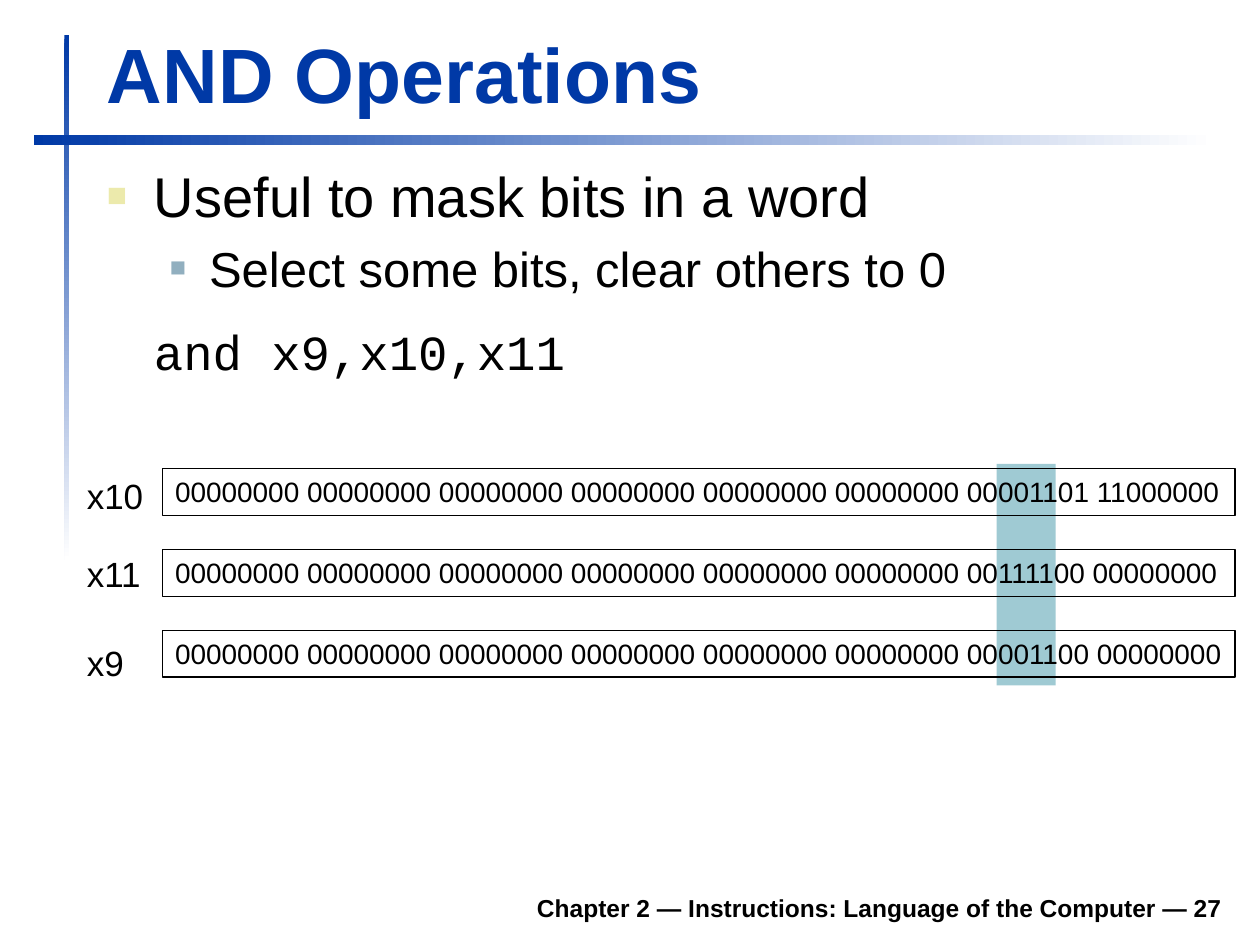
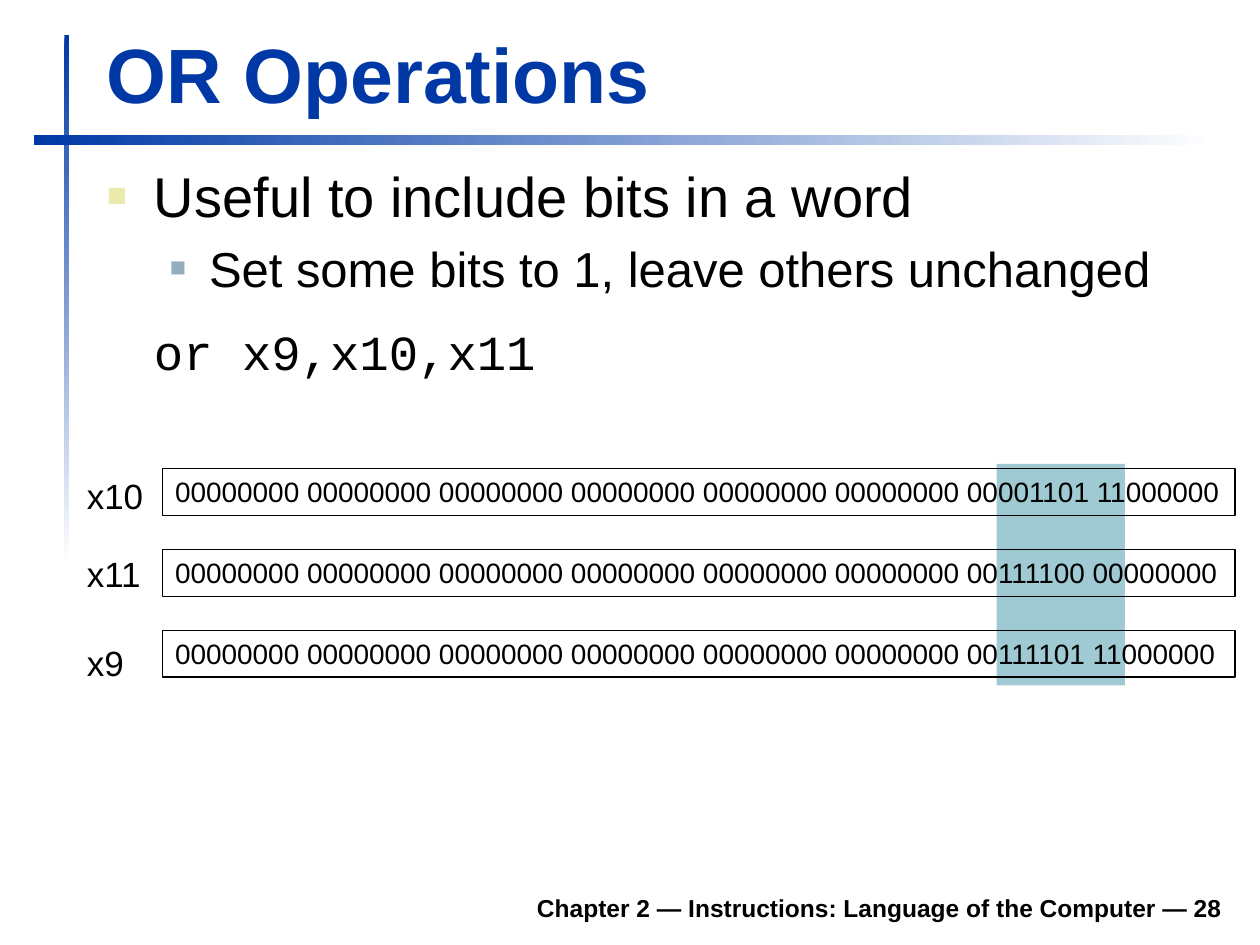
from dataclasses import dataclass

from lxml import etree
from pptx import Presentation
from pptx import util as u
from pptx.dml.color import RGBColor
from pptx.enum import shapes, text
from pptx.oxml import ns

ZERO_BYTES = ["00000000"] * 6
SLIDES = [
    {
        "number": 27,
        "title": "AND Operations",
        "point": "Useful to mask bits in a word",
        "detail": "Select some bits, clear others to 0",
        "code": "and x9,x10,x11",
        "low_bytes": ("00001101 11000000", "00111100 00000000", "00001100 00000000"),
        "mask_width": 1.19,
    },
    {
        "number": 28,
        "title": "OR Operations",
        "point": "Useful to include bits in a word",
        "detail": "Set some bits to 1, leave others unchanged",
        "code": "or x9,x10,x11",
        "low_bytes": ("00001101 11000000", "00111100 00000000", "00111101 11000000"),
        "mask_width": 2.59,
    },
]
FOOTER = "Chapter 2 — Instructions: Language of the Computer — {}"
REGISTERS = [("x10", 9.45), ("x11", 11.02), ("x9", 12.8)]
BANDS = [((1.3, 0.71, 0.1, 10.59), 270), ((0.69, 2.72, 23.8, 0.2), 0)]
TITLE_AREA = (1.9, 0.41, 22.94, 2.11)
BODY_AREA = (1.9, 3.12, 22.99, 5.77)
FOOTER_AREA = (4.7, 17.73, 20.19, 0.99)
MASK_LEFT, MASK_TOP, MASK_HEIGHT = 20.09, 9.35, 4.47
WORD_LEFT, WORD_TOP, WORD_WIDTH, WORD_HEIGHT, WORD_PITCH = 3.28, 9.45, 21.62, 0.94, 1.63
LABEL_LEFT, LABEL_WIDTH, LABEL_HEIGHT = 1.5, 1.65, 1.12


@dataclass(frozen=True)
class Theme:
    sans: str = "Arial"
    mono: str = "Courier New"
    blue: str = "0039A6"
    white: str = "FFFFFF"
    black: str = "000000"
    teal: str = "9FCAD3"
    point_bullet: str = "ECEAAC"
    detail_bullet: str = "91AFBF"
    title: int = 44
    point: int = 32
    detail: int = 28
    label: int = 20
    word: int = 16
    footer: int = 14


THEME = Theme()


def lengths(area):
    return [u.Cm(value) for value in area]


def move(placeholder, area):
    placeholder.left, placeholder.top, placeholder.width, placeholder.height = lengths(area)


def add_span(para, content, size, color=THEME.black, font=THEME.sans, bold=False):
    span = para.add_run()
    span.text = content
    span.font.size = u.Pt(size)
    span.font.name = font
    span.font.bold = bold
    span.font.color.rgb = RGBColor.from_string(color)


def add_rectangle(page, area):
    box = page.shapes.add_shape(shapes.MSO_SHAPE.RECTANGLE, *lengths(area))
    box.shadow.inherit = False
    box.line.fill.background()
    return box


def add_band(page, area, angle):
    fill = add_rectangle(page, area).fill
    fill.gradient()
    fill.gradient_angle = angle
    for stop, color in zip(fill.gradient_stops, (THEME.blue, THEME.white)):
        stop.color.rgb = RGBColor.from_string(color)


def add_text(page, area, content, size, wrap=True, bold=False,
             align=text.PP_ALIGN.LEFT, anchor=text.MSO_ANCHOR.TOP):
    frame = page.shapes.add_textbox(*lengths(area)).text_frame
    frame.word_wrap = wrap
    frame.vertical_anchor = anchor
    para = frame.paragraphs[0]
    para.alignment = align
    add_span(para, content, size, bold=bold)


def format_item(para, margin, indent, before, after=0, bullet=None, bullet_size=0):
    props = para._p.get_or_add_pPr()
    props.set("marL", str(u.Cm(margin)))
    props.set("indent", str(u.Cm(indent)))

    def add(parent, tag, **attributes):
        return etree.SubElement(parent, ns.qn(tag), attributes)

    for tag, percent in (("a:spcBef", before), ("a:spcAft", after)):
        add(add(props, tag), "a:spcPct", val=str(percent * 1000))
    if bullet:
        add(add(props, "a:buClr"), "a:srgbClr", val=bullet)
        add(props, "a:buSzPct", val=str(bullet_size * 1000))
        add(props, "a:buFont", typeface=THEME.sans)
        add(props, "a:buChar", char="■")
    else:
        add(props, "a:buNone")


def fill_title(page, content):
    title = page.shapes.title
    move(title, TITLE_AREA)
    frame = title.text_frame
    frame.auto_size = text.MSO_AUTO_SIZE.NONE
    frame.vertical_anchor = text.MSO_ANCHOR.BOTTOM
    para = frame.paragraphs[0]
    para.alignment = text.PP_ALIGN.LEFT
    add_span(para, content, THEME.title, THEME.blue, bold=True)


def fill_body(page, content):
    body = page.placeholders[1]
    move(body, BODY_AREA)
    frame = body.text_frame
    frame.auto_size = text.MSO_AUTO_SIZE.NONE
    point, detail, code = frame.paragraphs[0], frame.add_paragraph(), frame.add_paragraph()
    detail.level = 1
    format_item(point, 0.95, -0.95, 20, bullet=THEME.point_bullet, bullet_size=60)
    format_item(detail, 2.06, -0.79, 20, bullet=THEME.detail_bullet, bullet_size=55)
    format_item(code, 0.95, 0, 50, after=30)
    add_span(point, content["point"], THEME.point)
    add_span(detail, content["detail"], THEME.detail)
    add_span(code, content["code"], THEME.detail, font=THEME.mono)


def add_word(page, row, low_bytes):
    top = WORD_TOP + row * WORD_PITCH
    box = add_rectangle(page, (WORD_LEFT, top, WORD_WIDTH, WORD_HEIGHT))
    box.fill.background()
    box.line.color.rgb = RGBColor.from_string(THEME.black)
    box.line.width = u.Pt(0.75)
    frame = box.text_frame
    frame.word_wrap = True
    frame.vertical_anchor = text.MSO_ANCHOR.TOP
    para = frame.paragraphs[0]
    para.alignment = text.PP_ALIGN.LEFT
    add_span(para, " ".join([*ZERO_BYTES, low_bytes]), THEME.word)


def add_registers(page, content):
    mask = add_rectangle(page, (MASK_LEFT, MASK_TOP, content["mask_width"], MASK_HEIGHT))
    mask.fill.solid()
    mask.fill.fore_color.rgb = RGBColor.from_string(THEME.teal)
    for row, ((name, top), low_bytes) in enumerate(zip(REGISTERS, content["low_bytes"])):
        add_word(page, row, low_bytes)
        add_text(page, (LABEL_LEFT, top, LABEL_WIDTH, LABEL_HEIGHT), name, THEME.label, wrap=False)


def build_page(deck, content):
    page = deck.slides.add_slide(deck.slide_layouts[1])
    for area, angle in BANDS:
        add_band(page, area, angle)
    fill_title(page, content["title"])
    fill_body(page, content)
    add_registers(page, content)
    add_text(page, FOOTER_AREA, FOOTER.format(content["number"]), THEME.footer, bold=True,
             align=text.PP_ALIGN.RIGHT, anchor=text.MSO_ANCHOR.BOTTOM)


def main():
    deck = Presentation()
    deck.slide_width, deck.slide_height = u.Cm(25.4), u.Cm(19.05)
    for content in SLIDES:
        build_page(deck, content)
    deck.save("out.pptx")


if __name__ == "__main__":
    main()
